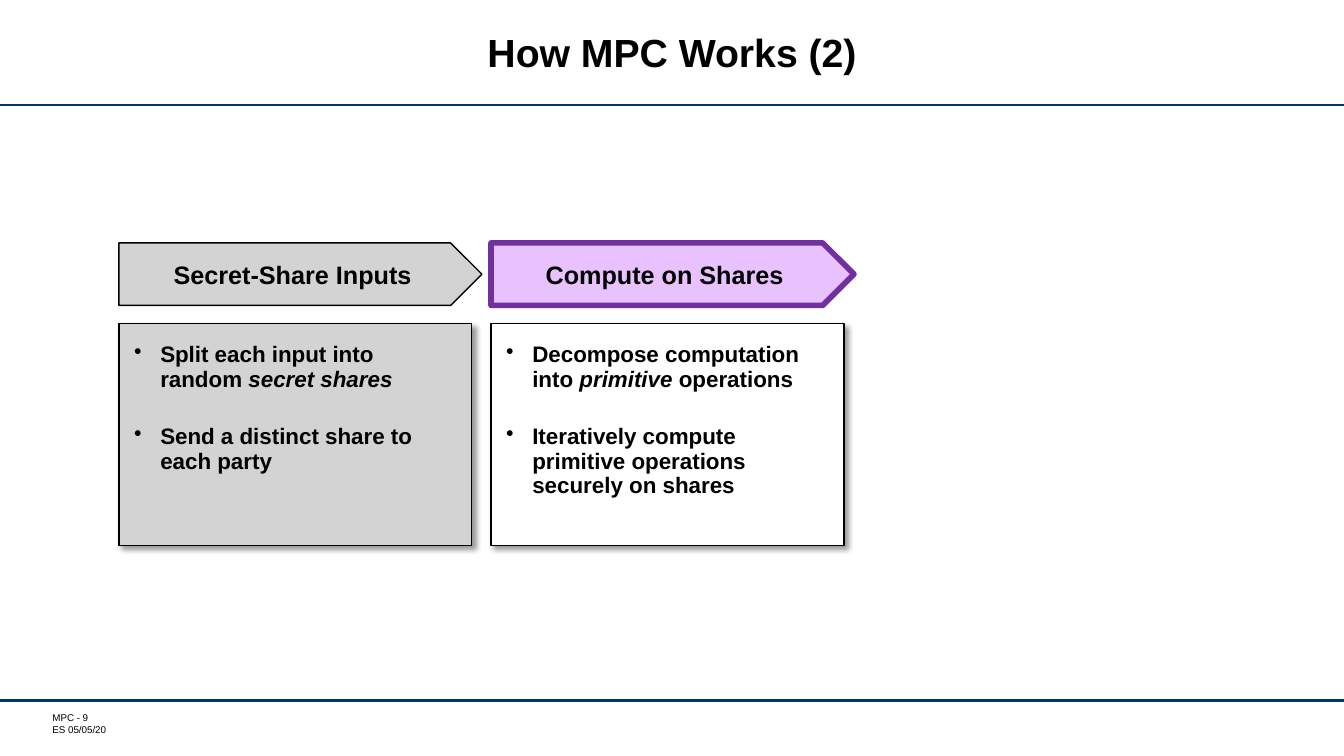
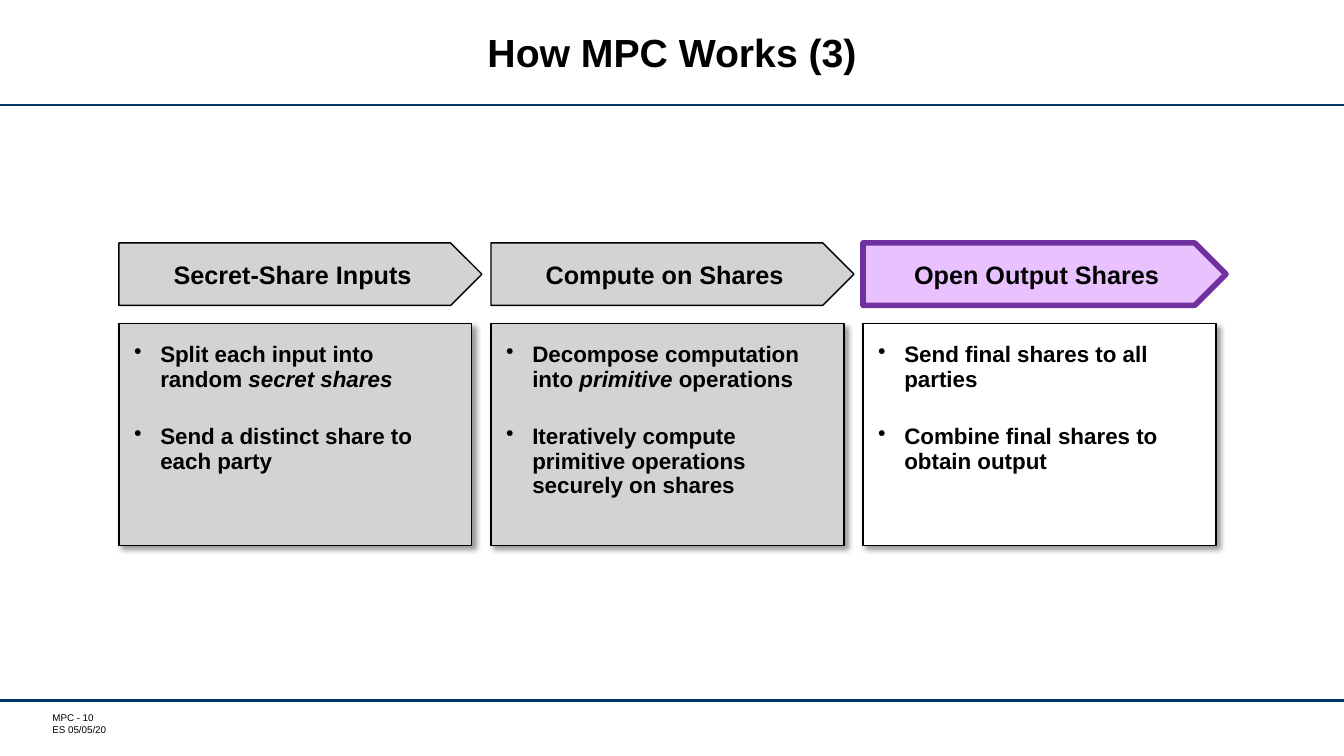
import dataclasses

import pptx
import pptx.dml.color
import pptx.enum.shapes
import pptx.enum.text
import pptx.oxml
import pptx.oxml.ns
import pptx.util

Inches = pptx.util.Inches
Pt = pptx.util.Pt
Shape = pptx.enum.shapes.MSO_SHAPE
Align = pptx.enum.text.PP_ALIGN
Anchor = pptx.enum.text.MSO_ANCHOR


@dataclasses.dataclass(frozen=True)
class Theme:
    font: str = "Arial"
    ink: str = "000000"
    paper: str = "FFFFFF"
    rule: str = "003767"
    done: str = "D3D3D3"
    active: str = "EAC1FF"
    active_edge: str = "7030A0"
    title_size: int = 28
    step_size: int = 18
    body_size: int = 16
    footer_size: int = 7
    bullet_gap: int = 24


SLIDE_WIDTH, SLIDE_HEIGHT = 13.33, 7.5
RULE_TOPS = (1.04, 6.95)
STEP_LEFT, STEP_PITCH = 1.18, 3.69
ARROW_TOP, ARROW_WIDTH, ARROW_HEIGHT = 2.41, 3.6, 0.62
CARD_TOP, CARD_WIDTH, CARD_HEIGHT = 3.21, 3.5, 2.2
BULLET_INDENT = 0.26

# Each bullet is a list of (text, italic) runs.
STEPS = [
    ("Secret-Share Inputs", [
        [("Split each input into random ", False), ("secret shares", True)],
        [("Send a distinct share to each party", False)],
    ]),
    ("Compute on Shares", [
        [("Decompose computation into ", False), ("primitive", True),
         (" operations", False)],
        [("Iteratively compute primitive operations securely on shares", False)],
    ]),
    ("Open Output Shares", [
        [("Send final shares to all parties", False)],
        [("Combine final shares to obtain output", False)],
    ]),
]


def rgb(value):
    return pptx.dml.color.RGBColor.from_string(value)


def xml(markup):
    """Parse one DrawingML element given as '<a:tag ...' without namespace."""
    head, mark, rest = markup.partition(" ")
    return pptx.oxml.parse_xml(
        f"{head} {pptx.oxml.ns.nsdecls('a')}{mark}{rest}")


class Deck:
    def __init__(self, theme):
        self.theme = theme
        self.presentation = pptx.Presentation()
        self.presentation.slide_width = Inches(SLIDE_WIDTH)
        self.presentation.slide_height = Inches(SLIDE_HEIGHT)
        self.slide = None

    def start_slide(self, title, number):
        layout = self.presentation.slide_layouts[6]
        self.slide = self.presentation.slides.add_slide(layout)
        for top in RULE_TOPS:
            self.rule(top)
        self.footer(number)
        self.title(title)

    def run(self, paragraph, text, size, bold=True, italic=False):
        run = paragraph.add_run()
        run.text = text
        run.font.name = self.theme.font
        run.font.size = Pt(size)
        run.font.bold = bold
        run.font.italic = italic
        run.font.color.rgb = rgb(self.theme.ink)

    def frame(self, shape, anchor, insets=(0.1, 0.05, 0.1, 0.05)):
        """Set wrapping, anchor and insets (left, top, right, bottom)."""
        frame = shape.text_frame
        frame.word_wrap = True
        frame.vertical_anchor = anchor
        (frame.margin_left, frame.margin_top,
         frame.margin_right, frame.margin_bottom) = map(Inches, insets)
        return frame

    def text_box(self, left, top, width, height):
        return self.slide.shapes.add_textbox(
            Inches(left), Inches(top), Inches(width), Inches(height))

    def rule(self, top):
        line = self.slide.shapes.add_connector(
            pptx.enum.shapes.MSO_CONNECTOR.STRAIGHT,
            0, Inches(top), Inches(SLIDE_WIDTH), Inches(top))
        line.line.color.rgb = rgb(self.theme.rule)
        line.line.width = Pt(1.75)
        line._element.spPr.append(xml("<a:effectLst />"))

    def footer(self, number):
        box = self.text_box(0.47, 7.06, 1.59, 0.24)
        frame = self.frame(box, Anchor.TOP, (0.05, 0, 0, 0))
        size = self.theme.footer_size
        self.run(frame.paragraphs[0], f"MPC - {number}", size, bold=False)
        self.run(frame.add_paragraph(), "ES 05/05/20", size, bold=False)

    def title(self, text):
        box = self.text_box(1.37, 0.11, 10.59, 0.89)
        paragraph = self.frame(box, Anchor.MIDDLE).paragraphs[0]
        paragraph.alignment = Align.CENTER
        paragraph.line_spacing = Pt(self.theme.title_size)
        self.run(paragraph, text, self.theme.title_size)

    def shape(self, kind, left, top, width, height, fill, edge, edge_width):
        shape = self.slide.shapes.add_shape(
            kind, Inches(left), Inches(top), Inches(width), Inches(height))
        shape.fill.solid()
        shape.fill.fore_color.rgb = rgb(fill)
        shape.line.color.rgb = rgb(edge)
        shape.line.width = Pt(edge_width)
        shape.shadow.inherit = False
        return shape

    def arrow(self, left, heading, active):
        theme = self.theme
        look = ((theme.active, theme.active_edge, 4) if active
                else (theme.done, theme.ink, 1))
        arrow = self.shape(Shape.PENTAGON, left, ARROW_TOP,
                           ARROW_WIDTH, ARROW_HEIGHT, *look)
        paragraph = self.frame(arrow, Anchor.MIDDLE).paragraphs[0]
        paragraph.alignment = Align.CENTER
        self.run(paragraph, heading, theme.step_size)

    def card(self, left, bullets, active):
        theme = self.theme
        card = self.shape(Shape.RECTANGLE, left, CARD_TOP,
                          CARD_WIDTH, CARD_HEIGHT,
                          theme.paper if active else theme.done, theme.ink, 1)
        self.drop_shadow(card)
        frame = self.frame(card, Anchor.TOP, (0.15, 0.2, 0.15, 0.05))
        for index, runs in enumerate(bullets):
            paragraph = frame.add_paragraph() if index else frame.paragraphs[0]
            self.bullet(paragraph)
            if index:
                paragraph.space_before = Pt(theme.bullet_gap)
            for text, italic in runs:
                self.run(paragraph, text, theme.body_size, italic=italic)

    def drop_shadow(self, shape):
        effects = shape._element.spPr.find(pptx.oxml.ns.qn("a:effectLst"))
        effects.append(xml(
            f'<a:outerShdw blurRad="{Pt(4)}" dist="{Pt(3)}" dir="2700000" '
            f'algn="tl" rotWithShape="0"><a:srgbClr val="{self.theme.ink}">'
            '<a:alpha val="40000"/></a:srgbClr></a:outerShdw>'))

    def bullet(self, paragraph):
        properties = paragraph._p.get_or_add_pPr()
        properties.set("marL", str(Inches(BULLET_INDENT)))
        properties.set("indent", str(-Inches(BULLET_INDENT)))
        properties.append(xml('<a:buChar char="•"/>'))
        paragraph.alignment = Align.LEFT
        paragraph.line_spacing = 0.9

    def steps(self, count):
        """Show the first steps, with the last of them highlighted."""
        for index, (heading, bullets) in enumerate(STEPS[:count]):
            left = STEP_LEFT + index * STEP_PITCH
            active = index == count - 1
            self.arrow(left, heading, active)
            self.card(left, bullets, active)


def main():
    deck = Deck(Theme())
    for part, number in ((2, 9), (3, 10)):
        deck.start_slide(f"How MPC Works ({part})", number)
        deck.steps(part)
    deck.presentation.save("out.pptx")


if __name__ == "__main__":
    main()
